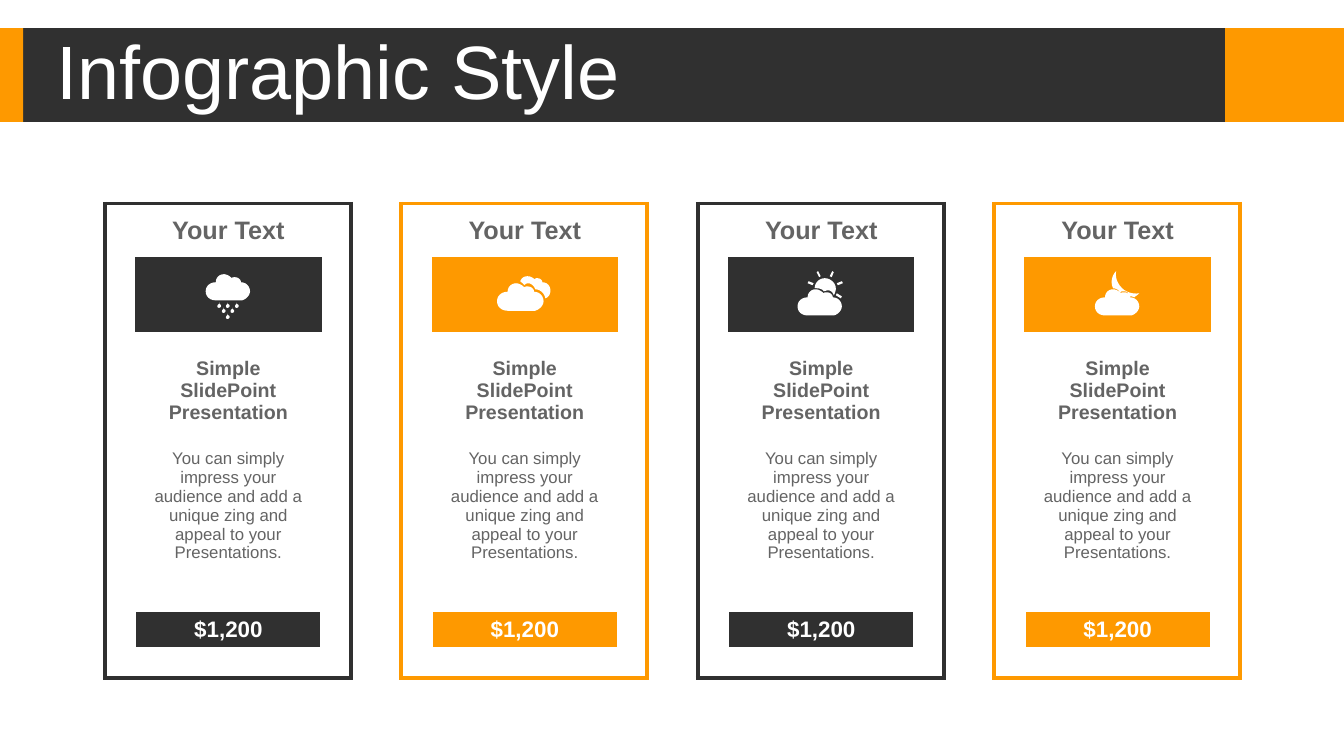
import pptx
import pptx.dml.color
import pptx.enum.shapes
import pptx.enum.text
import pptx.oxml.ns
import pptx.util
from lxml import etree

Inches, Pt = pptx.util.Inches, pptx.util.Pt
RGB = pptx.dml.color.RGBColor.from_string
CENTER = pptx.enum.text.PP_ALIGN.CENTER
MIDDLE = pptx.enum.text.MSO_ANCHOR.MIDDLE
RECTANGLE = pptx.enum.shapes.MSO_SHAPE.RECTANGLE
qn = pptx.oxml.ns.qn

theme = {
    "dark": "303030", "orange": "FE9900", "white": "FFFFFF", "gray": "646464",
    "font": "Arial", "title": 54, "heading": 18, "subheading": 14, "body": 12,
    "price": 16, "frame": 3, "rule": 2.25,
}


def curve(points, steps=6):
    outline = [points[0]]
    for i in range(0, len(points) - 1, 3):
        a, b, c, d = points[i:i + 4]
        for step in range(1, steps + 1):
            t = step / steps
            u = 1 - t
            weights = (u ** 3, 3 * u * u * t, 3 * u * t * t, t ** 3)
            outline.append(tuple(
                sum(w * p[axis] for w, p in zip(weights, (a, b, c, d)))
                for axis in (0, 1)))
    return outline


def add_run(paragraph, text, size, color, bold=False):
    run = paragraph.add_run()
    run.text = text
    run.font.name = theme["font"]
    run.font.size = Pt(size)
    run.font.bold = bold
    run.font.color.rgb = RGB(color)


cloud = curve([
    (18, 0), (21, 0), (24, 2), (26, 4), (26, 3), (28, 3), (29, 3),
    (32, 3), (35, 5), (35, 8), (40, 8), (44, 12), (44, 17),
    (44, 21), (40, 25), (36, 26), (27, 26), (18, 26), (10, 26),
    (4, 26), (0, 22), (0, 17), (0, 12), (4, 8), (10, 8),
    (10, 3), (14, 0), (18, 0)])
back_cloud = curve([
    (30, 0), (33, 0), (35, 1), (37, 3), (38, 2), (39, 2), (40, 2),
    (43, 2), (45, 4), (45, 6), (50, 6), (53, 10), (53, 14),
    (53, 18), (51, 21), (48, 22), (47, 17), (43, 13), (38, 13),
    (37, 10), (34, 7), (31, 7), (29, 7), (28, 8), (27, 9),
    (26, 7), (24, 6), (23, 5), (24, 2), (27, 0), (30, 0)])
sun = curve([
    (27, 7), (33, 7), (38, 12), (38, 17), (38, 20), (37, 22), (36, 24),
    (35, 21), (33, 19), (30, 19), (29, 19), (27, 20), (26, 20),
    (25, 18), (22, 17), (19, 17), (18, 17), (18, 17), (17, 17),
    (17, 11), (22, 7), (27, 7)])
moon = curve([
    (21, 0), (20, 6), (22, 12), (27, 17), (31, 21), (38, 23), (44, 22),
    (42, 24), (40, 25), (39, 26), (37, 25), (36, 25), (35, 25),
    (34, 22), (32, 20), (29, 20), (27, 20), (26, 20), (25, 21),
    (24, 19), (21, 17), (18, 17), (15, 11), (17, 4), (21, 0)])
raindrop = curve([
    (2, 0), (2, 1), (2, 2), (3, 2), (4, 3), (4, 4), (3, 5),
    (2, 5.5), (1.5, 5.5), (0.5, 5), (0, 4), (0, 3), (1, 2),
    (1.5, 2), (2, 1), (2, 0)])
rays = [
    [(39, 22), (44, 25), (43, 27), (38, 24)],
    [(44, 10), (45, 12), (40, 14), (39, 12)],
    [(11, 10), (16, 12), (15, 14), (10, 12)],
    [(34.5, 0), (36, 1), (34, 6), (32, 5)],
    [(20.5, 0), (23, 5), (21.5, 6), (19, 1)]]
drop_places = [(20, 39), (24.5, 33), (16, 33), (11.5, 28), (29, 28), (20, 28)]

cards = [
    ("dark", 2.04, 2.72,
     [(cloud, 0, 0, 1)] + [(raindrop, x, y, 1) for x, y in drop_places]),
    ("orange", 4.93, 2.74, [(cloud, 0, 7, 1.05), (back_cloud, 0, 0, 1)]),
    ("dark", 7.91, 2.69,
     [(cloud, 0, 18, 1), (sun, 0, 0, 1)] + [(ray, 0, 0, 1) for ray in rays]),
    ("orange", 10.86, 2.69, [(cloud, 0, 18, 1), (moon, 0, 0, 1)]),
]
column_widths = [0.3, 1.85, 0.29]
row_heights = [0.53, 0.74, 0.94, 1.48, 0.3, 0.36, 0.3]
card_text = {
    0: (["Your Text"], "heading", "gray", True),
    2: (["Simple", "SlidePoint Presentation"], "subheading", "gray", True),
    3: (["You can simply impress your audience and add a unique zing "
         "and appeal to your Presentations."], "body", "gray", False),
    5: (["$1,200"], "price", "white", True),
}
icon_row, subheading_row, price_row = 1, 2, 5
last_row, last_column = len(row_heights) - 1, len(column_widths) - 1

deck = pptx.Presentation()
deck.slide_width, deck.slide_height = Inches(13.33), Inches(7.5)
slide = deck.slides.add_slide(deck.slide_layouts[6])

for left, width, color in [(12.15, 1.18, "orange"), (0, 12.15, "dark"), (0, 0.23, "orange")]:
    band = slide.shapes.add_shape(
        RECTANGLE, Inches(left), Inches(0.28), Inches(width), Inches(0.93))
    band.shadow.inherit = False
    band.fill.solid()
    band.fill.fore_color.rgb = RGB(theme[color])
    band.line.fill.background()

title = slide.shapes.add_textbox(Inches(0.46), Inches(0.35), Inches(9.7), Inches(0.79)).text_frame
title.word_wrap = True
title.vertical_anchor = MIDDLE
title.paragraphs[0].line_spacing = 0.9
add_run(title.paragraphs[0], "Infographic Style", theme["title"], theme["white"])

for index, (accent, icon_left, icon_top, outlines) in enumerate(cards):
    card = slide.shapes.add_table(
        len(row_heights), len(column_widths), Inches(1.04 + 2.94 * index), Inches(2.02),
        Inches(sum(column_widths)), Inches(sum(row_heights))).table
    card.first_row = card.horz_banding = False
    for column, width in zip(card.columns, column_widths):
        column.width = Inches(width)
    for row, height in zip(card.rows, row_heights):
        row.height = Inches(height)

    for r in range(last_row + 1):
        for c in range(last_column + 1):
            cell = card.cell(r, c)
            frame = (theme[accent], theme["frame"])
            rule = (theme["white"], theme["rule"])
            edges = {
                "a:lnL": frame if c == 0 else rule if r == price_row else None,
                "a:lnR": frame if c == last_column else rule if r == price_row else None,
                "a:lnT": frame if r == 0 else rule if c == 1 and r in (price_row, price_row + 1) else None,
                "a:lnB": frame if r == last_row else rule if c == 1 and r in (price_row - 1, price_row) else None,
            }
            properties = cell._tc.get_or_add_tcPr()
            for tag, edge in edges.items():
                line = etree.SubElement(properties, qn(tag))
                if edge is None:
                    etree.SubElement(line, qn("a:noFill"))
                else:
                    line.set("w", str(Pt(edge[1])))
                    fill = etree.SubElement(line, qn("a:solidFill"))
                    etree.SubElement(fill, qn("a:srgbClr"), val=edge[0])

            if c == 1 and r in (icon_row, price_row):
                cell.fill.solid()
                cell.fill.fore_color.rgb = RGB(theme[accent])
            else:
                cell.fill.background()

            if c == 1 and r in card_text:
                lines, size, color, bold = card_text[r]
                cell.vertical_anchor = MIDDLE
                if r == subheading_row:
                    cell.margin_top = Inches(0.24)
                for number, text in enumerate(lines):
                    frame_text = cell.text_frame
                    paragraph = frame_text.add_paragraph() if number else frame_text.paragraphs[0]
                    paragraph.alignment = CENTER
                    add_run(paragraph, text, theme[size], theme[color], bold)
            else:
                cell.margin_top = cell.margin_bottom = 0

    builder = None
    for outline, dx, dy, scale in outlines:
        points = [(Inches(icon_left + (dx + x * scale) / 100),
                   Inches(icon_top + (dy + y * scale) / 100)) for x, y in outline]
        if builder is None:
            builder = slide.shapes.build_freeform(*points[0])
        else:
            builder.move_to(*points[0])
        builder.add_line_segments(points[1:], close=True)
    weather = builder.convert_to_shape()
    weather.shadow.inherit = False
    weather.fill.solid()
    weather.fill.fore_color.rgb = RGB(theme["white"])
    weather.line.fill.background()

deck.save("out.pptx")
